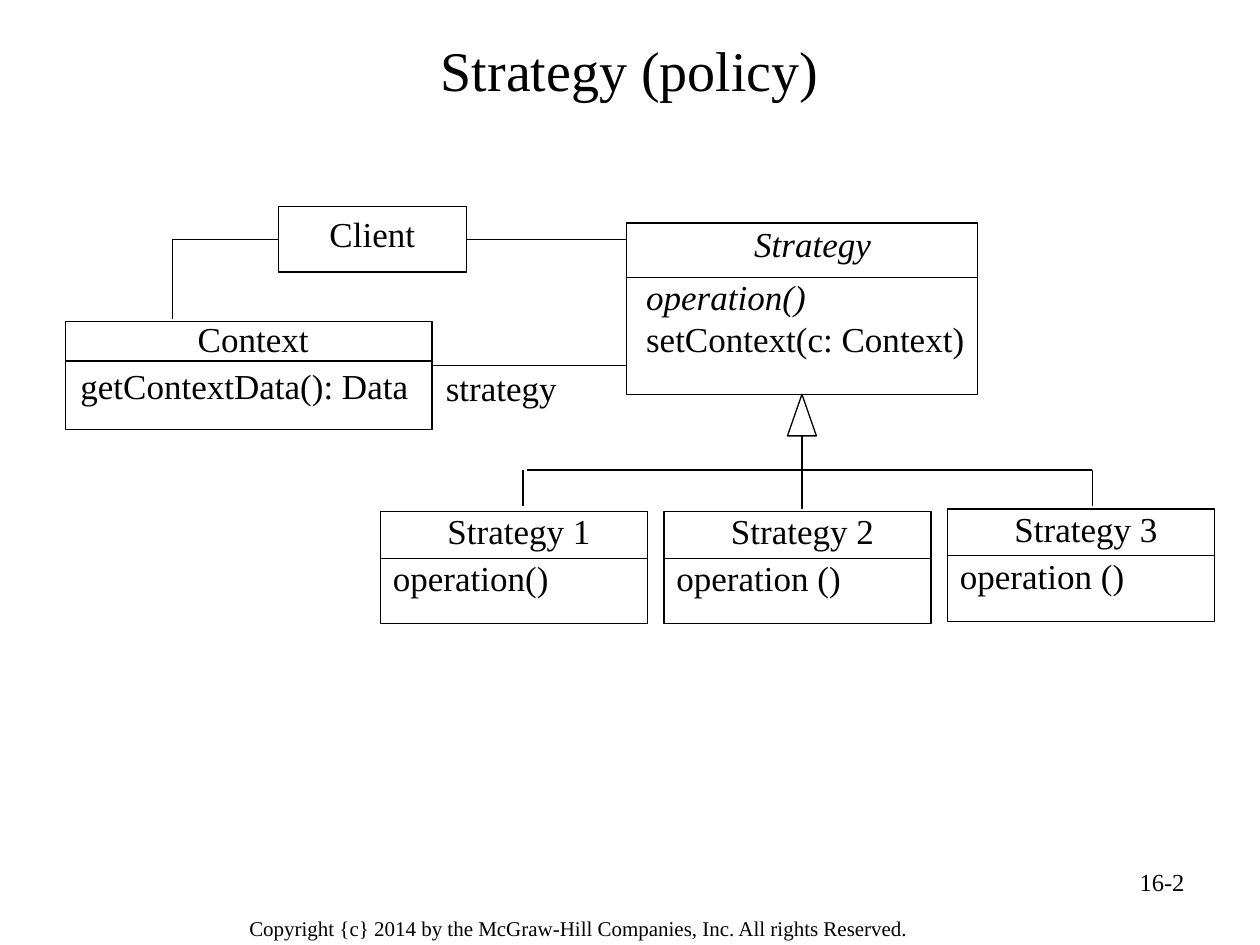
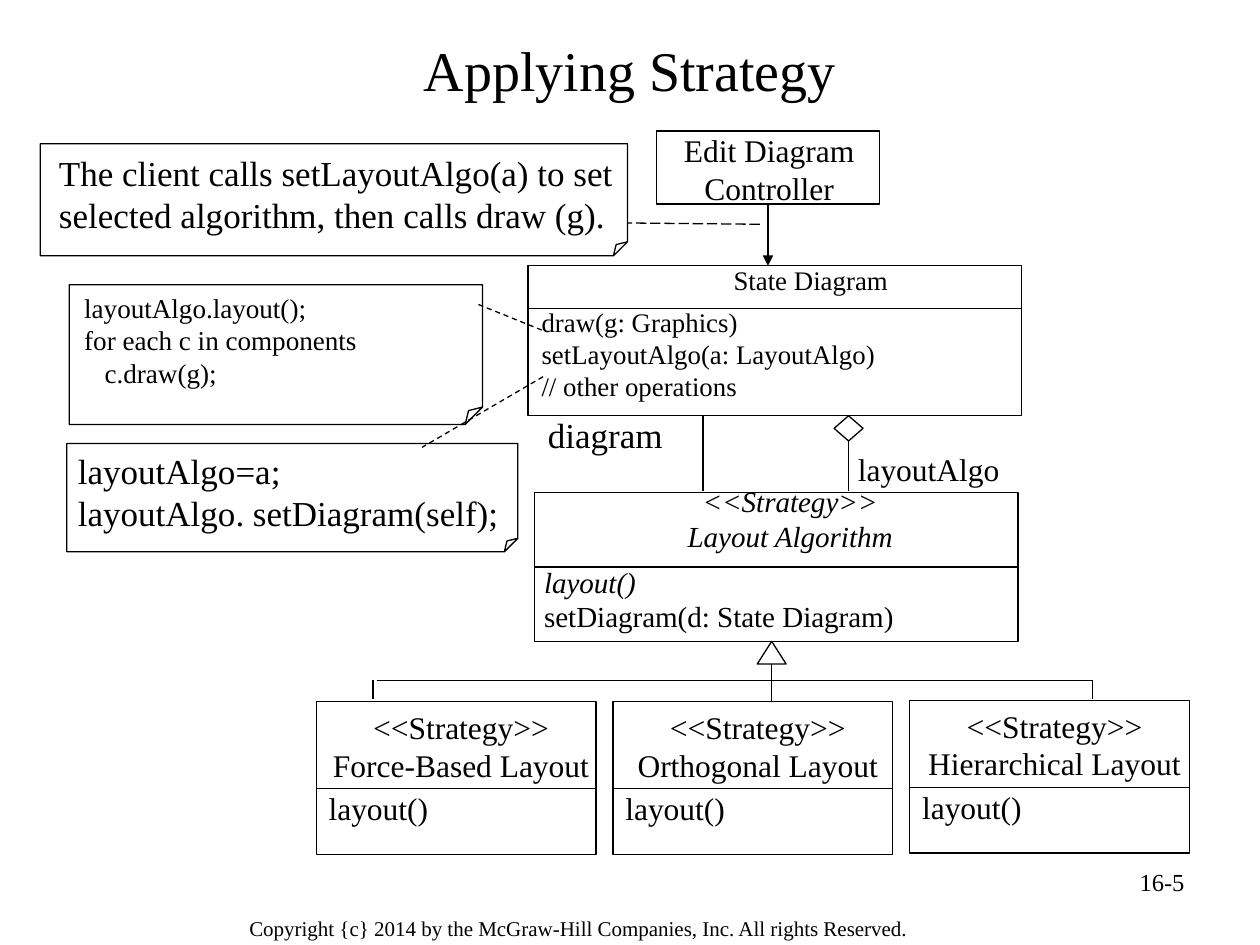
"""Build two slides of class diagrams on the Strategy pattern."""
from dataclasses import dataclass
from lxml.etree import SubElement
from pptx import Presentation
from pptx.dml.color import RGBColor
from pptx.enum.dml import MSO_LINE
from pptx.enum.shapes import MSO_CONNECTOR, MSO_SHAPE
from pptx.enum.text import MSO_ANCHOR, PP_ALIGN
from pptx.oxml.ns import qn
from pptx.util import Inches, Pt

WIDTH, HEIGHT = Inches(10), Inches(7.5)
COLUMN, ROW = WIDTH / 100, HEIGHT / 75
COLORS = {"ink": "000000", "paper": "FFFFFF"}
FONT = "Times New Roman"
STROKE = Pt(0.75)
TOP, LEFT, BOTTOM, RIGHT = range(4)
COPYRIGHT = "Copyright {c} 2014 by the McGraw-Hill Companies, Inc. All rights Reserved."


@dataclass
class Line:
    """One paragraph of text and its format."""
    text: str
    align: PP_ALIGN = PP_ALIGN.LEFT
    italic: bool = False
    before: float = 0
    after: float = 0


def heading(text, after=3, **style):
    """Return a centred paragraph for the name part of a class."""
    return Line(text, align=PP_ALIGN.CENTER, after=after, **style)


def color(name):
    """Return the named colour."""
    return RGBColor.from_string(COLORS[name])


def place(left, top, width, height):
    """Turn columns and rows into lengths on the slide."""
    return [round(length) for length in
            (left * COLUMN, top * ROW, width * COLUMN, height * ROW)]


def write(frame, lines, size=20, anchor=MSO_ANCHOR.TOP):
    """Fill a text frame with formatted lines."""
    frame.word_wrap = True
    frame.vertical_anchor = anchor
    for index, line in enumerate(lines):
        paragraph = frame.add_paragraph() if index else frame.paragraphs[0]
        paragraph.alignment = line.align
        paragraph.space_before, paragraph.space_after = Pt(line.before), Pt(line.after)
        run = paragraph.add_run()
        run.text = line.text
        run.font.name, run.font.size = FONT, Pt(size)
        run.font.italic = line.italic
        run.font.color.rgb = color("ink")


def label(slide, area, *lines, **style):
    """Add a text box over an area of the grid."""
    write(slide.shapes.add_textbox(*place(*area)).text_frame, lines, **style)


def outline(slide, kind, area, fill=None):
    """Add a thinly outlined shape, clear unless a fill is named."""
    shape = slide.shapes.add_shape(kind, *place(*area))
    shape.shadow.inherit = False
    shape.line.color.rgb, shape.line.width = color("ink"), STROKE
    if fill:
        shape.fill.solid()
        shape.fill.fore_color.rgb = color(fill)
    else:
        shape.fill.background()
    return shape


def link(slide, start, end, dash=None, arrow=False, begin_at=None, end_at=None):
    """Draw a straight line, joined to a (shape, side) where one is given."""
    connector = slide.shapes.add_connector(MSO_CONNECTOR.STRAIGHT, *place(*start, *end))
    connector.line.color.rgb, connector.line.width = color("ink"), STROKE
    if dash:
        connector.line.dash_style = dash
    if arrow:
        SubElement(connector.line._get_or_add_ln(), qn("a:tailEnd"), type="triangle")
    SubElement(connector._element.spPr, qn("a:effectLst"))
    if begin_at:
        connector.begin_connect(*begin_at)
    if end_at:
        connector.end_connect(*end_at)


def class_box(slide, area, divider, text_area, lines, size=20):
    """Draw a class with a line between its name and its operations."""
    left, _, width, _ = area
    label(slide, text_area, *lines, size=size)
    outline(slide, MSO_SHAPE.RECTANGLE, area)
    link(slide, (left, divider), (left + width, divider))


def subclasses(slide, first, step, tops, size, divider, rise, members, text_size):
    """Draw a row of equally spaced classes."""
    width, height = size
    for index, (top, lines) in enumerate(zip(tops, members)):
        left = first + index * step
        class_box(slide, (left, top, width, height), top + divider,
                  (left, top - rise, width + 0.8, height + 0.3), lines, text_size)


def inheritance(slide, head, bus, left, right, drop, trunk_end):
    """Draw a hollow arrowhead with a trunk and branches to the subclasses."""
    x, top, width, height = head
    outline(slide, MSO_SHAPE.ISOSCELES_TRIANGLE, head, fill="paper")
    trunk = x + width / 2
    link(slide, (trunk, top + height), (trunk, trunk_end))
    link(slide, (left + 0.3, bus), (right, bus))
    for branch in (left, right):
        link(slide, (branch, bus), (branch, drop))


def note(slide, area, text_area, lines, anchor_line, size=20, dash=MSO_LINE.DASH):
    """Draw a folded note and the dashed line to what it explains."""
    label(slide, text_area, *map(Line, lines), size=size)
    sheet = outline(slide, MSO_SHAPE.FOLDED_CORNER, area)
    geometry = sheet._element.spPr.find(qn("a:prstGeom"))
    SubElement(geometry.get_or_add_avLst(), qn("a:gd"), name="adj", fmla="val 12500")
    link(slide, *anchor_line, dash=dash)


def new_slide(deck, title, number):
    """Add a slide with its title, page number and copyright line."""
    slide = deck.slides.add_slide(deck.slide_layouts[6])
    label(slide, (18.8, 72.2, 61.9, 3.1), Line(COPYRIGHT), size=12)
    label(slide, (71.7, 68.3, 23.3, 5.2), Line(number, align=PP_ALIGN.RIGHT), size=14)
    label(slide, (5, 1.7, 90, 7.5), heading(title, after=0), size=32,
          anchor=MSO_ANCHOR.MIDDLE)
    return slide


def strategy_slide(deck):
    """Show the structure of the pattern."""
    slide = new_slide(deck, "Strategy (policy)", "16-2")
    class_box(slide, (49.7, 17.7, 27.9, 13.6), 22, (50.3, 17.2, 28.4, 20.1),
              [heading("Strategy", italic=True),
               Line("operation()", italic=True, before=3),
               Line("setContext(c: Context)")])
    class_box(slide, (5.2, 25.5, 29.1, 8.6), 28.65, (5.4, 24.7, 29.4, 9.9),
              [heading("Context"), Line("getContextData(): Data")])
    subclasses(slide, 30.2, 22.5, (40.6, 40.6, 40.4), (21.2, 8.9), 3.7, 0.65,
               [[heading("Strategy 1"), Line("operation()")],
                [heading("Strategy 2"), Line("operation ()")],
                [heading("Strategy 3"), Line("operation ()")]], 20)
    inheritance(slide, (62.5, 31.3, 2.3, 3.3), 37.3, 41.5, 86.7, 40.2, 40.4)

    client = outline(slide, MSO_SHAPE.RECTANGLE, (22.1, 16.4, 14.9, 5.2))
    write(client.text_frame, [heading("Client", after=0)])
    link(slide, (37, 19), (49.7, 19), begin_at=(client, RIGHT))
    link(slide, (13.7, 19), (22.1, 19), end_at=(client, LEFT))
    link(slide, (13.7, 19), (13.7, 25.3))
    link(slide, (34.3, 29), (49.7, 29))
    label(slide, (34.4, 28.6, 14.9, 5.4), Line("strategy"))


def applying_slide(deck):
    """Show the pattern applied to layout algorithms."""
    slide = new_slide(deck, "Applying Strategy", "16-5")
    class_box(slide, (41.9, 21.1, 39.2, 11.9), 24.5, (42, 20.4, 44.7, 12.9),
              [heading("State Diagram"),
               Line("draw(g: Graphics)", before=3),
               Line("setLayoutAlgo(a: LayoutAlgo)"),
               Line("// other operations")], 15.3)
    class_box(slide, (42.4, 39.1, 38.4, 11.8), 45, (42.2, 37.9, 41, 13.2),
              [heading("<<Strategy>>", after=0, italic=True),
               heading("Layout Algorithm", italic=True),
               Line("layout()", italic=True, before=3),
               Line("setDiagram(d: State Diagram)")], 16.6)
    names = ("Force-Based Layout", "Orthogonal Layout", "Hierarchical Layout")
    subclasses(slide, 25.1, 23.55, (55.7, 55.7, 55.6), (22.2, 12.1), 6.9, 0,
               [[heading("<<Strategy>>", after=0), heading(name), Line("layout()")]
                for name in names], 18)
    inheritance(slide, (60.1, 50.9, 2.3, 1.8), 54, 29.6, 86.7, 55.5, 55.6)

    controller = outline(slide, MSO_SHAPE.RECTANGLE, (52.1, 10.4, 17.7, 5.8))
    label(slide, (50.2, 9.9, 21.7, 7.1),
          heading("Edit Diagram Controller", after=0), size=18)
    link(slide, (60.95, 16.2), (60.95, 21.1), arrow=True, begin_at=(controller, BOTTOM))
    aggregation = outline(slide, MSO_SHAPE.DIAMOND, (66.2, 33, 2.3, 2), fill="paper")
    link(slide, (67.35, 35), (67.35, 39), begin_at=(aggregation, BOTTOM))
    link(slide, (55.8, 33), (55.8, 39))
    label(slide, (67.1, 35.2, 19.1, 5.1), Line("layoutAlgo"), size=18)
    label(slide, (42.5, 32.3, 17.8, 4.5), Line("diagram"))

    note(slide, (5.5, 22.6, 32.8, 11.1), (5.7, 22.6, 35.1, 9.4),
         ["layoutAlgo.layout();", "for each c in components", "   c.draw(g);"],
         ((43, 26.2), (37.8, 24.1)), size=15.5)
    note(slide, (3.2, 11.4, 46.6, 8.9), (3.7, 11.5, 49, 9.4),
         ["The client calls setLayoutAlgo(a) to set selected algorithm, "
          "then calls draw (g)."],
         ((60.3, 17.8), (49.8, 17.7)), dash=MSO_LINE.LONG_DASH)
    note(slide, (5.3, 35.2, 35.8, 8.6), (5.2, 35.2, 44.3, 10),
         ["layoutAlgo=a;", "layoutAlgo. setDiagram(self);"],
         ((43.1, 29.9), (33.5, 35.5)))


def main():
    """Build and save the deck."""
    deck = Presentation()
    deck.slide_width, deck.slide_height = WIDTH, HEIGHT
    strategy_slide(deck)
    applying_slide(deck)
    deck.save("out.pptx")


if __name__ == "__main__":
    main()
